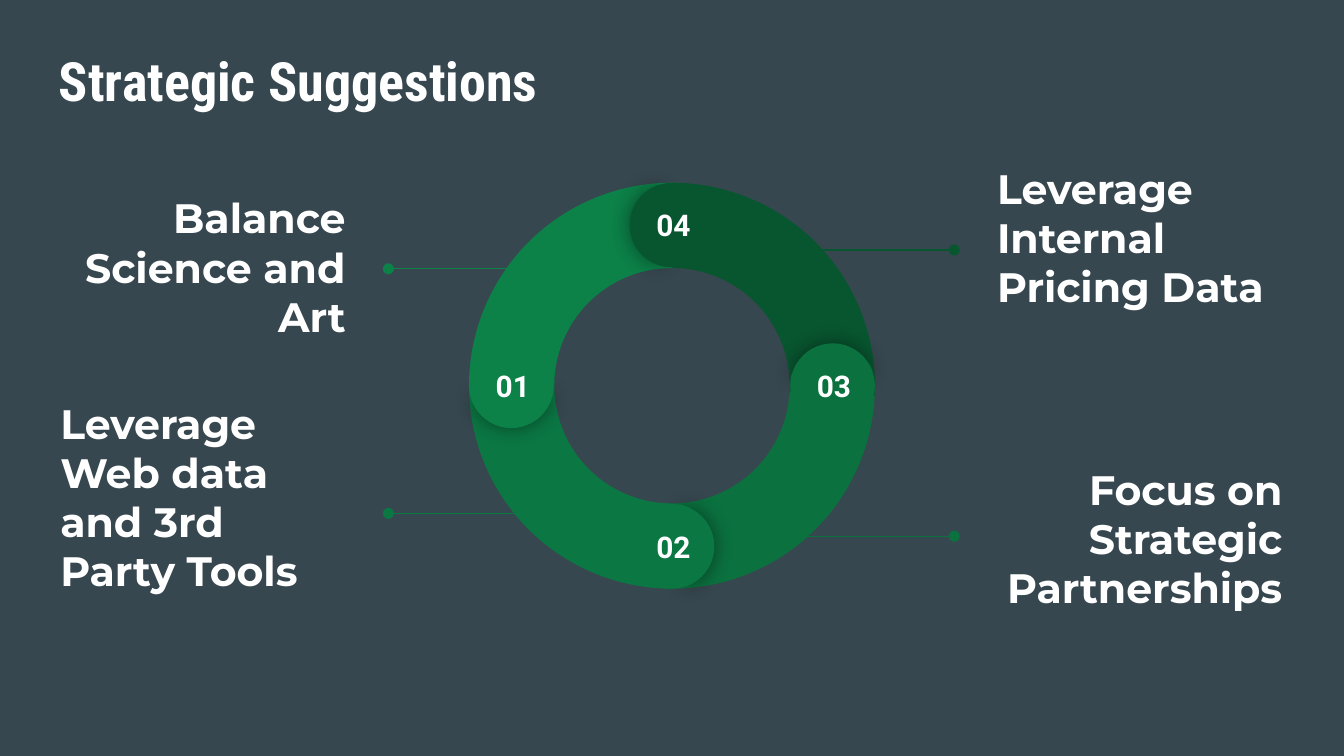
"""Build the Strategic Suggestions slide: a four-part ring with labelled callouts."""
import math

import lxml.etree
import pptx
import pptx.dml.color
import pptx.enum.shapes
import pptx.enum.text
import pptx.oxml
import pptx.oxml.ns
import pptx.util

Inches = pptx.util.Inches
Pt = pptx.util.Pt
RGBColor = pptx.dml.color.RGBColor
SHAPE = pptx.enum.shapes.MSO_SHAPE
ANCHOR = pptx.enum.text.MSO_ANCHOR
ALIGN = pptx.enum.text.PP_ALIGN

SLATE = RGBColor(0x37, 0x47, 0x4F)
WHITE = RGBColor(0xFF, 0xFF, 0xFF)
GREEN_01 = RGBColor(0x0C, 0x81, 0x48)
GREEN_02 = RGBColor(0x0B, 0x77, 0x43)
GREEN_03 = RGBColor(0x0B, 0x71, 0x3F)
GREEN_04 = RGBColor(0x08, 0x56, 0x30)

TITLE = "Strategic Suggestions"
SEGMENTS = [
    ("03", 90, GREEN_03),
    ("02", 180, GREEN_02),
    ("01", 270, GREEN_01),
    ("04", 0, GREEN_04),
]
CALLOUTS = [
    ("Balance Science and Art", 0.35, 1.28, ALIGN.RIGHT, 0.1, 4.03, 2.89, 2.0, GREEN_01),
    ("Leverage Web data and 3rd Party Tools", 0.35, 3.09, ALIGN.LEFT, 0.3, 4.32, 2.89, 3.82, GREEN_02),
    ("Leverage Internal Pricing Data", 7.32, 1.16, ALIGN.LEFT, 0.3, 5.7, 7.1, 1.86, GREEN_04),
    ("Focus on Strategic Partnerships", 7.32, 3.3, ALIGN.RIGHT, 0.1, 5.7, 7.1, 3.99, GREEN_03),
]

CENTER_X, CENTER_Y = 5, 2.87
RING_SIZE, CAP_SIZE = 3.02, 0.63
CAP_RADIUS = (RING_SIZE - CAP_SIZE) / 2
NUMBER_WIDTH, NUMBER_HEIGHT = 0.55, 0.29
NUMBER_SHIFT, NUMBER_LIFT = 0.01, 0.09
ARC_ADJUSTMENTS = (126.22, 181.76, 0.21)
SHADED_CAP_ADJUSTMENTS = (61.9, 149.96)
PLAIN_CAP_ADJUSTMENTS = (40.28, 171.84)

SHADOW = (
    '<a:outerShdw %s blurRad="142240" dist="0" dir="0" algn="ctr" rotWithShape="0">'
    '<a:srgbClr val="000000"><a:alpha val="43000"/></a:srgbClr></a:outerShdw>'
    % pptx.oxml.ns.nsdecls("a")
)


def add_text(page, text, left, top, width, height, font, size, align, anchor=ANCHOR.TOP, bottom=0.1):
    box = page.shapes.add_textbox(Inches(left), Inches(top), Inches(width), Inches(height))
    frame = box.text_frame
    frame.text = text
    frame.word_wrap = True
    frame.vertical_anchor = anchor
    frame.margin_left = frame.margin_right = frame.margin_top = Inches(0.1)
    frame.margin_bottom = Inches(bottom)
    para = frame.paragraphs[0]
    para.alignment = align
    span = para.runs[0]
    span.font.name = font
    span.font.size = Pt(size)
    span.font.bold = True
    span.font.color.rgb = WHITE


def add_piece(page, kind, x, y, size, rotation, adjustments, color):
    shape = page.shapes.add_shape(
        kind, Inches(x - size / 2), Inches(y - size / 2), Inches(size), Inches(size)
    )
    shape.rotation = rotation % 360
    for index, value in enumerate(adjustments):
        shape.adjustments[index] = value
    shape.fill.solid()
    shape.fill.fore_color.rgb = color
    shape.line.fill.background()
    shape.shadow.inherit = False
    return shape


def add_segment_cap(page, number, turn, color):
    angle = math.radians(turn)
    x = CENTER_X + CAP_RADIUS * math.sin(angle)
    y = CENTER_Y - CAP_RADIUS * math.cos(angle)
    shaded = add_piece(page, SHAPE.PIE, x, y, CAP_SIZE, turn + 0.7, SHADED_CAP_ADJUSTMENTS, color)
    effects = shaded.element.spPr.find(pptx.oxml.ns.qn("a:effectLst"))
    effects.append(pptx.oxml.parse_xml(SHADOW))
    add_piece(page, SHAPE.PIE, x, y, CAP_SIZE, turn + 180, PLAIN_CAP_ADJUSTMENTS, color)
    add_text(page, number, x + NUMBER_SHIFT - NUMBER_WIDTH / 2, y - NUMBER_LIFT - NUMBER_HEIGHT / 2,
             NUMBER_WIDTH, NUMBER_HEIGHT, "Roboto", 16, ALIGN.CENTER)


def add_pointer(page, start, end, y, color):
    pointer = page.shapes.add_connector(
        pptx.enum.shapes.MSO_CONNECTOR.STRAIGHT, Inches(start), Inches(y), Inches(end), Inches(y)
    )
    pointer.line.color.rgb = color
    pointer.line.width = Pt(0.75)
    properties = pointer.element.spPr
    line = properties.find(pptx.oxml.ns.qn("a:ln"))
    lxml.etree.SubElement(line, pptx.oxml.ns.qn("a:tailEnd"), type="oval")
    lxml.etree.SubElement(properties, pptx.oxml.ns.qn("a:effectLst"))


def main():
    deck = pptx.Presentation()
    deck.slide_width = Inches(10)
    deck.slide_height = deck.slide_width * 9 // 16
    page = deck.slides.add_slide(deck.slide_layouts[6])
    page.background.fill.solid()
    page.background.fill.fore_color.rgb = SLATE

    add_text(page, TITLE, 0.34, 0.25, 9.32, 0.63, "Roboto Condensed", 29, ALIGN.LEFT)
    for number, turn, color in SEGMENTS:
        add_piece(page, SHAPE.BLOCK_ARC, CENTER_X, CENTER_Y, RING_SIZE, turn + 60, ARC_ADJUSTMENTS, color)
    for number, turn, color in SEGMENTS:
        add_segment_cap(page, number, turn, color)
    for text, left, top, align, bottom, start, end, y, color in CALLOUTS:
        add_text(page, text, left, top, 2.32, 1.41, "Montserrat", 22, align, ANCHOR.MIDDLE, bottom)
        add_pointer(page, start, end, y, color)

    deck.save("out.pptx")


if __name__ == "__main__":
    main()
